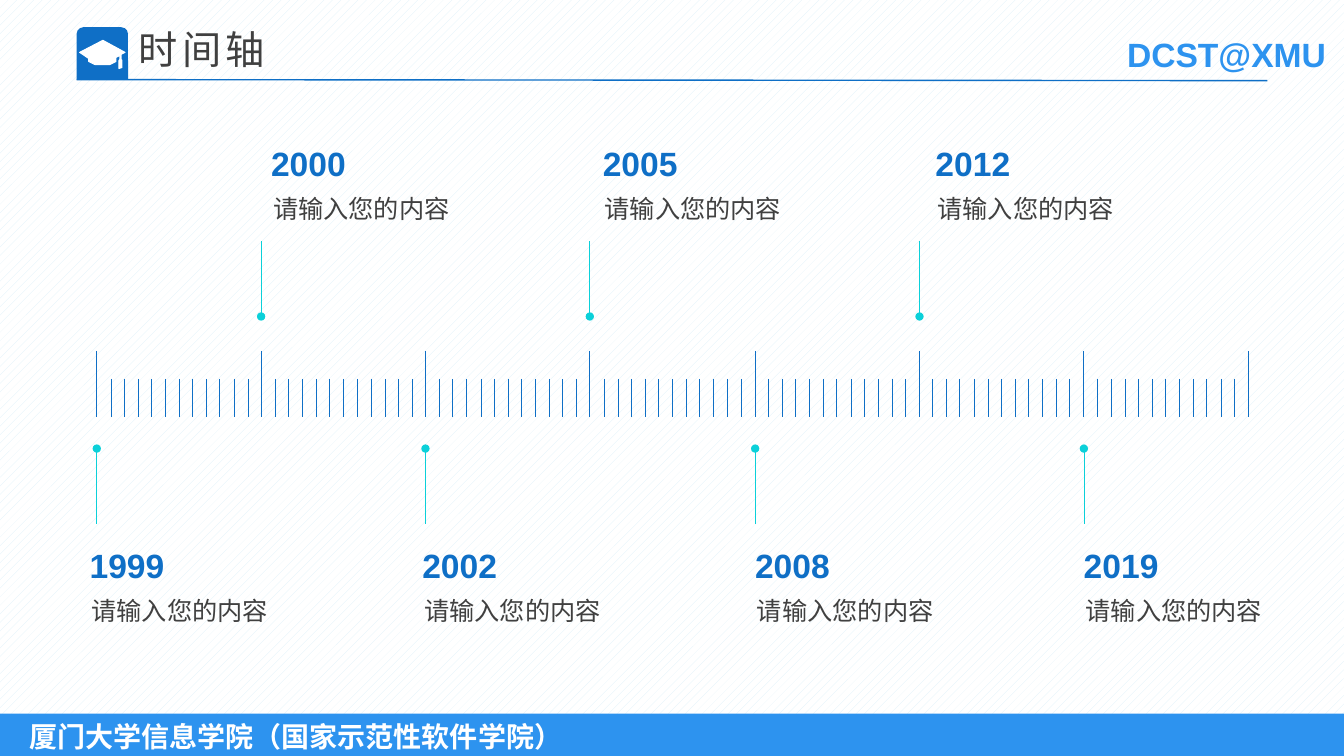
from lxml.etree import SubElement
from pptx import Presentation
from pptx.dml.color import RGBColor
from pptx.enum.dml import MSO_PATTERN
from pptx.enum.shapes import MSO_CONNECTOR, MSO_SHAPE
from pptx.enum.text import MSO_ANCHOR as ANCHOR, MSO_AUTO_SIZE as AUTO_SIZE, PP_ALIGN as ALIGN
from pptx.oxml.ns import qn
from pptx.util import Pt

PX = 9144
SLIDE_WIDTH, SLIDE_HEIGHT = 1333, 750
BLUE = RGBColor(0x0F, 0x6F, 0xC6)
LIGHT_BLUE = RGBColor(0x2D, 0x93, 0xEF)
PALE_BLUE = RGBColor(0xDB, 0xEF, 0xF9)
CYAN = RGBColor(0x0B, 0xD0, 0xD9)
GRAY = RGBColor(0x40, 0x40, 0x40)
WHITE = RGBColor(0xFF, 0xFF, 0xFF)

RULER_LEFT, RULER_RIGHT, RULER_BOTTOM = 96, 1238, 414
MAJOR_TOP, MINOR_TOP = 348, 376
PERIODS, TICKS_PER_PERIOD = 7, 12
CONTENT = "请输入您的内容"
EVENTS = [("1999", 79), ("2000", 259), ("2002", 409), ("2005", 588),
          ("2008", 739), ("2012", 918), ("2019", 1065)]
CAP_OUTLINE = [(120, 59), (120, 54), (124, 52), (102, 40), (79, 52), (88, 58),
               (88, 61), (94, 64), (109, 64), (115, 61), (115, 57), (119, 55),
               (119, 59), (118, 60), (118, 68), (121, 67), (121, 60)]


def scaled(*lengths):
    return [length * PX for length in lengths]


def ruler_x(tick):
    return RULER_LEFT + round(tick * (RULER_RIGHT - RULER_LEFT) / (PERIODS * TICKS_PER_PERIOD))


def write_text(shape, text, *, size, color, bold=False, wrap=True, inset=10, align=None,
               anchor=ANCHOR.TOP, line_spacing=None, letter_spacing=None, grow=True):
    frame = shape.text_frame
    frame.word_wrap = wrap
    frame.auto_size = AUTO_SIZE.SHAPE_TO_FIT_TEXT if grow else AUTO_SIZE.NONE
    frame.vertical_anchor = anchor
    frame.margin_left = inset * PX
    paragraph = frame.paragraphs[0]
    paragraph.alignment = align
    paragraph.line_spacing = line_spacing
    run = paragraph.add_run()
    run.text = text
    run.font.name = "Arial"
    run.font.size = Pt(size)
    run.font.bold = bold
    run.font.color.rgb = color
    if letter_spacing:
        run.font._element.set("spc", str(letter_spacing * 100))


def add_text(slide, text, left, top, width, height, **text_format):
    box = slide.shapes.add_textbox(*scaled(left, top, width, height))
    write_text(box, text, **text_format)


def add_block(slide, kind, left, top, width, height, color):
    shape = slide.shapes.add_shape(kind, *scaled(left, top, width, height))
    shape.shadow.inherit = False
    shape.fill.solid()
    shape.fill.fore_color.rgb = color
    shape.line.fill.background()
    return shape


def add_line(shapes, start, end, color, width, oval=False):
    connector = shapes.add_connector(MSO_CONNECTOR.STRAIGHT, *scaled(*start, *end))
    connector.line.color.rgb = color
    connector.line.width = Pt(width)
    properties = connector.element.spPr
    if oval:
        SubElement(properties.find(qn("a:ln")), qn("a:headEnd"), type="oval")
    SubElement(properties, qn("a:effectLst"))


def add_background(slide):
    background = add_block(slide, MSO_SHAPE.RECTANGLE, 0, 0, SLIDE_WIDTH, SLIDE_HEIGHT, WHITE)
    background.fill.patterned()
    background.fill.pattern = MSO_PATTERN.PERCENT_20
    background.fill.fore_color.rgb = PALE_BLUE
    background.fill.back_color.rgb = WHITE


def add_footer(slide):
    footer = add_block(slide, MSO_SHAPE.RECTANGLE, 0, 708, SLIDE_WIDTH, 44, LIGHT_BLUE)
    write_text(footer, "厦门大学信息学院（国家示范性软件学院）", size=20, color=WHITE, bold=True,
               inset=29, align=ALIGN.LEFT, anchor=ANCHOR.MIDDLE, grow=False)


def add_cap(slide):
    builder = slide.shapes.build_freeform(*CAP_OUTLINE[0], scale=PX)
    builder.add_line_segments(CAP_OUTLINE[1:], close=True)
    cap = builder.convert_to_shape()
    cap.shadow.inherit = False
    cap.fill.solid()
    cap.fill.fore_color.rgb = WHITE
    cap.line.color.rgb = WHITE
    cap.line.width = Pt(0.75)


def add_header(slide):
    add_text(slide, "DCST@XMU", 1108, 29, 220, 50, size=24, color=LIGHT_BLUE,
             bold=True, wrap=False)
    badge = add_block(slide, MSO_SHAPE.ROUND_2_SAME_RECTANGLE, 76, 27, 51, 52, BLUE)
    badge.adjustments[0] = 0.13
    add_cap(slide)
    add_line(slide.shapes, (76, 79), (1257, 80), BLUE, 1)
    add_text(slide, "时间轴", 128, 25, 730, 100, size=28, color=GRAY,
             line_spacing=0.9, letter_spacing=3, grow=False)


def add_ruler(slide):
    ruler = slide.shapes.add_group_shape()
    for tick in range(PERIODS * TICKS_PER_PERIOD + 1):
        major = tick % TICKS_PER_PERIOD == 0
        top, width = (MAJOR_TOP, 0.75) if major else (MINOR_TOP, 0.5)
        x = ruler_x(tick)
        add_line(ruler.shapes, (x, top), (x, RULER_BOTTOM), BLUE, width)


def add_event(slide, index, year, left):
    above = index % 2 == 1
    dot, tip, top = (314, 239, 137) if above else (445, 520, 536)
    x = ruler_x(index * TICKS_PER_PERIOD)
    add_line(slide.shapes, (x, dot), (x, tip), CYAN, 0.5, oval=True)
    add_text(slide, year, left, top, 95, 50, size=24, color=BLUE, bold=True, wrap=False)
    add_text(slide, CONTENT, left + 2, top + 41, 206, 46, size=18, color=GRAY,
             align=ALIGN.JUSTIFY, line_spacing=1.3)


def main():
    presentation = Presentation()
    presentation.slide_width, presentation.slide_height = scaled(SLIDE_WIDTH, SLIDE_HEIGHT)
    slide = presentation.slides.add_slide(presentation.slide_layouts[6])
    add_background(slide)
    add_footer(slide)
    add_header(slide)
    add_ruler(slide)
    for index, (year, left) in enumerate(EVENTS):
        add_event(slide, index, year, left)
    presentation.save("out.pptx")


if __name__ == "__main__":
    main()
